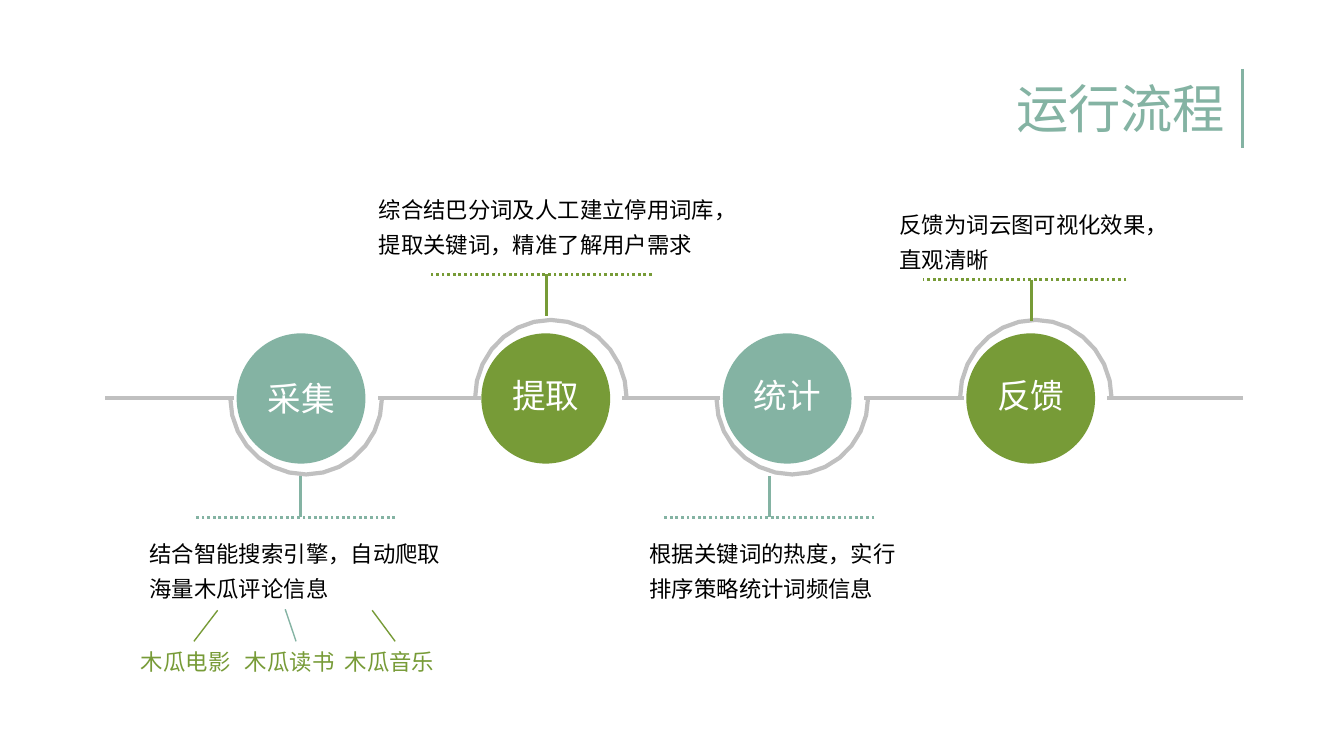
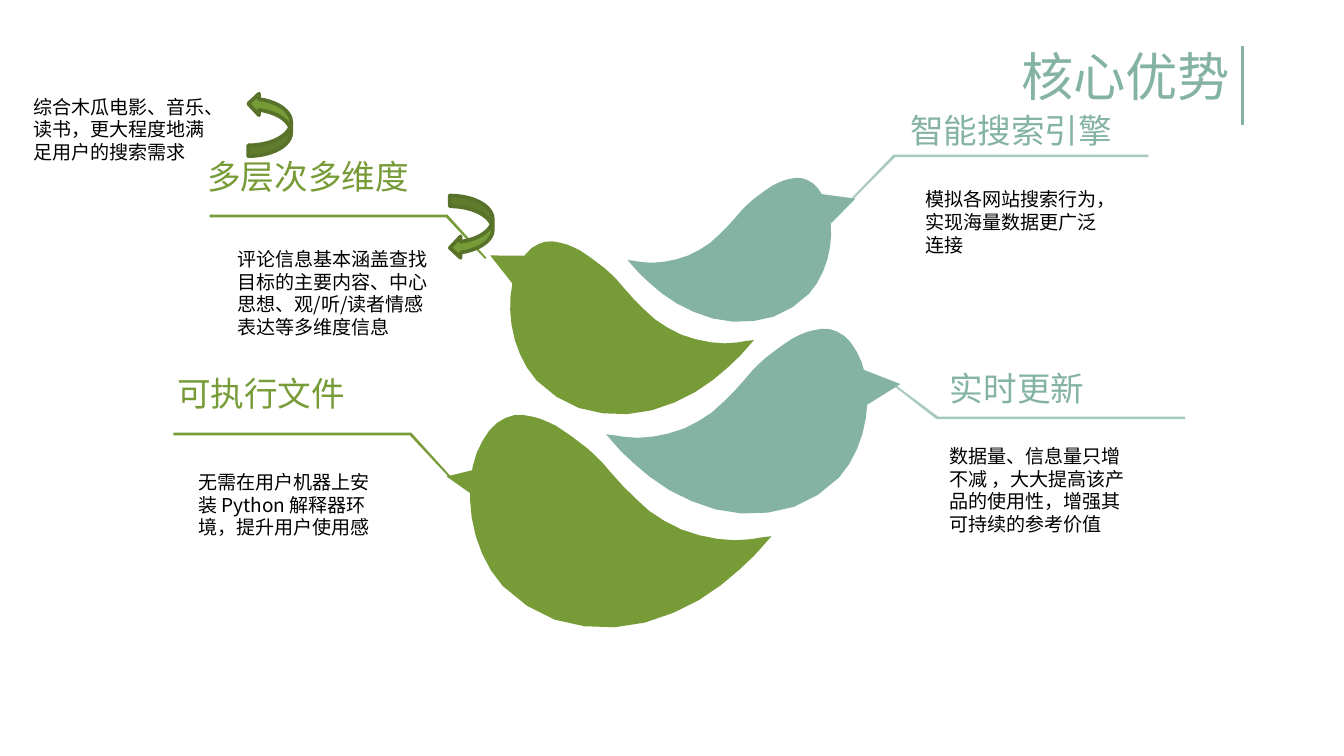
"""Build two slides: a four-step process and the core advantages around four birds."""
import math

from lxml import etree
from pptx import Presentation
from pptx.dml.color import RGBColor
from pptx.enum.dml import MSO_LINE
from pptx.enum.shapes import MSO_CONNECTOR, MSO_SHAPE
from pptx.enum.text import MSO_ANCHOR, PP_ALIGN
from pptx.oxml.ns import qn
from pptx.util import Pt

STRAIGHT = MSO_CONNECTOR.STRAIGHT
OVAL, TRIANGLE = MSO_SHAPE.OVAL, MSO_SHAPE.ISOSCELES_TRIANGLE
CURVED_UP, CURVED_DOWN = MSO_SHAPE.CURVED_UP_ARROW, MSO_SHAPE.CURVED_DOWN_ARROW
DOTTED = MSO_LINE.ROUND_DOT
MIDDLE = MSO_ANCHOR.MIDDLE
LEFT, CENTER, RIGHT = PP_ALIGN.LEFT, PP_ALIGN.CENTER, PP_ALIGN.RIGHT

TEAL, GREEN, DARK_GREEN = "84B3A3", "779B37", "587329"
GREY, BLACK, WHITE = "C0C0C0", "000000", "FFFFFF"
BODY_FONT, HEADING_FONT = "Noto Sans CJK SC", "Quicksand"
TITLE_RULE_X, TITLE_RULE_LENGTH = 665.8, 42.4

PROCESS_TITLE = ("运行流程", (388.4, 40.6, 275, 38.2), 36.9)
ADVANTAGE_TITLE = ("核心优势", (391, 24.5, 275, 36), 24.5)

# label, colour, circle centre, label top, stem x, dotted start, end and y, note, note box
STEPS = [
    ("采集", TEAL, 161.3, 198.9, 161.1, 103.7, 211.7, 277.2,
     "结合智能搜索引擎，自动爬取海量木瓜评论信息", (73, 281.5, 181.4, 45)),
    ("提取", GREEN, 292.4, 197.5, 292.8, 231.1, 349.2, 146.9,
     "综合结巴分词及人工建立停用词库，提取关键词，精准了解用户需求", (195.8, 97.2, 203, 45)),
    ("统计", TEAL, 421.7, 197.5, 412.4, 355.4, 468.5, 277.2,
     "根据关键词的热度，实行排序策略统计词频信息", (340.9, 281.5, 157.5, 45)),
    ("反馈", GREEN, 552.2, 197.5, 552.4, 494.6, 603.4, 149.8,
     "反馈为词云图可视化效果，直观清晰", (474.8, 105, 159.8, 45)),
]
RAIL = [(56.2, 125.3), (202.3, 257.8), (333.4, 385.9), (463, 516.2), (593.3, 666)]
RAIL_Y, ARC_WIDTH, ARC_SHIFT, STEM = 213.4, 40.6, 2.7, 22.3
ARC_HEIGHTS = {-1: 42, 1: 40.8}
SOURCES = ["木瓜电影", "木瓜读书", "木瓜音乐"]
SOURCE_TABS = [55.7, 109.2]
BRANCHES = [
    (GREEN, 103.9, 343.6, 116.6, 327),
    (TEAL, 158.6, 343.6, 152.8, 326.4),
    (GREEN, 211.7, 343.6, 199.4, 327),
]

BIRD_SIZE = (225, 161)
BIRD_START = (225, 91)
BIRD_CURVES = [
    ((221, 95), (214, 105), (201, 116)), ((189, 127), (172, 140), (152, 148)),
    ((132, 157), (108, 161), (86, 158)), ((63, 156), (42, 145), (25, 128)),
    ((15, 117), (9, 104), (5, 91)), ((1, 77), (0, 63), (1, 51)),
    ((2, 39), (5, 28), (10, 20)), ((15, 11), (20, 6), (27, 3)),
    ((33, 0), (40, 0), (47, 2)), ((53, 3), (59, 6), (65, 9)),
    ((71, 13), (77, 17), (82, 21)), ((88, 25), (93, 30), (99, 36)),
    ((106, 44), (114, 54), (124, 63)), ((133, 73), (145, 80), (158, 86)),
    ((171, 91), (186, 94), (198, 94)), ((210, 94), (220, 91), (225, 91)),
]
# colour, body box, beak box, beak rotation, faces right
BIRDS = [
    (GREEN, (272.9, 128.9, 131, 94.3), (262.1, 131.8, 17.3, 18), 296, False),
    (GREEN, (251.3, 221.8, 162, 115.9), (239.8, 249.1, 13.7, 15.1), 280.8, False),
    (TEAL, (324.7, 175.7, 140.4, 100.8), (463.7, 197.3, 18.7, 18.7), 84.7, True),
    (TEAL, (336.2, 95, 109.4, 78.5), (442.1, 100.8, 16.6, 16.6), 71, True),
]
EYES = [(308.9, 149, 5.8, 6.5), (284.4, 241.2, 7.2, 7.9)]
# colour, opacity, box, sloped run, flipped across, flipped down
LEADERS = [
    (GREEN, 100, (112.3, 115, 148.3, 23.8), 20.9, False, False),
    (GREEN, 100, (92.9, 231.8, 148.3, 23.8), 20.9, False, False),
    (TEAL, 70, (479.5, 206.6, 155.5, 18), 22.3, True, True),
    (TEAL, 70, (456.5, 82.8, 158.8, 23.8), 22.3, True, False),
]
HEADINGS = [
    ("多层次多维度", GREEN, (104, 79.9, 180.7, 28.8)),
    ("可执行文件", GREEN, (87.8, 196.2, 157.7, 28.8)),
    ("实时更新", TEAL, (501.8, 193.7, 100, 28.8)),
    ("智能搜索引擎", TEAL, (480.6, 55.4, 130, 28.8)),
]
DETAILS = [
    ("综合木瓜电影、音乐、读书，更大程度地满足用户的搜索需求", (10.8, 47.3, 111.6, 44)),
    ("评论信息基本涵盖查找目标的主要内容、中心思想、观/听/读者情感表达等多维度信息",
     (120.2, 128.8, 118.1, 56.2)),
    ("模拟各网站搜索行为，实现海量数据更广泛连接", (488.7, 96.8, 111.6, 44)),
    ("数据量、信息量只增不减 ，大大提高该产品的使用性，增强其可持续的参考价值",
     (501.4, 234.4, 111.6, 56.2)),
    ("无需在用户机器上安装 Python 解释器环境，提升用户使用感", (99.2, 248.3, 111.6, 44)),
]
CURVED_ARROWS = [
    (CURVED_UP, (127.6, 55.2, 33.8, 23), 270),
    (CURVED_DOWN, (235.6, 110.2, 33.8, 23), 90),
]


def rgb(value):
    """Turn a hex string into a colour."""
    return RGBColor.from_string(value)


def add_text(slide, text, box, size=12, color=BLACK, font=BODY_FONT, align=LEFT,
             spacing=None, tabs=()):
    """Add a vertically centred text box with one paragraph."""
    frame = slide.shapes.add_textbox(*map(Pt, box)).text_frame
    frame.word_wrap = True
    frame.vertical_anchor = MIDDLE
    paragraph = frame.paragraphs[0]
    paragraph.alignment = align
    if spacing:
        paragraph.line_spacing = spacing
    if tabs:
        stops = etree.SubElement(paragraph._p.get_or_add_pPr(), qn("a:tabLst"))
        for position in tabs:
            etree.SubElement(stops, qn("a:tab"), pos=str(Pt(position)), algn="l")
    run = paragraph.add_run()
    run.text = text
    run.font.size = Pt(size)
    run.font.color.rgb = rgb(color)
    run.font.name = font
    etree.SubElement(run._r.get_or_add_rPr(), qn("a:ea"), typeface=font)


def add_line(slide, x1, y1, x2, y2, color, width=1.5, dash=None):
    """Add a straight line without a shadow."""
    line = slide.shapes.add_connector(STRAIGHT, Pt(x1), Pt(y1), Pt(x2), Pt(y2))
    line.line.color.rgb = rgb(color)
    line.line.width = Pt(width)
    if dash:
        line.line.dash_style = dash
    etree.SubElement(line._element.spPr, qn("a:effectLst"))


def paint(shape, fill=None, line=None, width=1, opacity=100):
    """Set the fill and outline of a shape."""
    shape.shadow.inherit = False
    if fill:
        shape.fill.solid()
        shape.fill.fore_color.rgb = rgb(fill)
        if opacity < 100:
            solid = shape._element.spPr.find(qn("a:solidFill"))
            etree.SubElement(solid[0], qn("a:alpha"), val=str(opacity * 1000))
    else:
        shape.fill.background()
    if line:
        shape.line.color.rgb = rgb(line)
        shape.line.width = Pt(width)
    else:
        shape.line.fill.background()


def add_preset(slide, kind, box, rotation=0, **style):
    """Add a painted preset shape."""
    shape = slide.shapes.add_shape(kind, *map(Pt, box))
    shape.rotation = rotation
    paint(shape, **style)


def add_outline(slide, points, close=True, **style):
    """Add a painted freeform through the points."""
    corners = [(Pt(x), Pt(y)) for x, y in points]
    builder = slide.shapes.build_freeform(*corners[0], scale=1.0)
    builder.add_line_segments(corners[1:], close=close)
    paint(builder.convert_to_shape(), **style)


def add_title(slide, text, box, rule_top):
    """Add the right-aligned title and the rule beside it."""
    add_text(slide, text, box, size=28, color=TEAL, align=RIGHT, spacing=0.9)
    add_line(slide, TITLE_RULE_X, rule_top, TITLE_RULE_X, rule_top + TITLE_RULE_LENGTH, TEAL)


def arc_points(center, side, steps=14):
    """Return a half circle above (side -1) or below (side 1) the rail."""
    angles = [math.pi * i / steps for i in range(steps + 1)]
    return [(center + ARC_WIDTH * math.cos(a), RAIL_Y + side * ARC_HEIGHTS[side] * math.sin(a))
            for a in angles]


def bird_points(box, mirrored, steps=3):
    """Return the bird outline fitted to a box."""
    left, top, width, height = box
    start, outline = BIRD_START, []
    for curve in BIRD_CURVES:
        for i in range(steps):
            t = i / steps
            weights = ((1 - t) ** 3, 3 * t * (1 - t) ** 2, 3 * t * t * (1 - t), t ** 3)
            outline.append([sum(w * p[axis] for w, p in zip(weights, (start, *curve)))
                            / BIRD_SIZE[axis] for axis in (0, 1)])
        start = curve[-1]
    return [(left + width * (1 - x if mirrored else x), top + height * y) for x, y in outline]


def leader_points(box, run, across, down):
    """Return the thin bent strip that leads from a heading to a beak."""
    left, top, width, height = box
    knee = width - run
    strip = [(width - 0.7, height), (width, height - 0.7), (knee, 0), (0, 0),
             (0, 1.44), (knee - 0.7, 1.44)]
    return [(left + (width - x if across else x), top + (height - y if down else y))
            for x, y in strip]


def build_process(slide):
    """Draw the four steps on their rail."""
    add_title(slide, *PROCESS_TITLE)
    for start, end in RAIL:
        add_line(slide, end, RAIL_Y, start, RAIL_Y, GREY, 2.25)
    for label, color, center, label_top, stem_x, start, end, dotted_y, note, note_box in STEPS:
        side = 1 if dotted_y > RAIL_Y else -1
        add_outline(slide, arc_points(center + ARC_SHIFT, side), close=False,
                    line=GREY, width=2.25)
        add_preset(slide, OVAL, (center - 34.5, 178.6, 69, 69.8), fill=color)
        add_text(slide, label, (center - 35, label_top, 70, 28.8), size=18, color=WHITE,
                 align=CENTER)
        stem_top = min(dotted_y, dotted_y - side * STEM)
        add_line(slide, stem_x, stem_top, stem_x, stem_top + STEM, color)
        add_line(slide, end, dotted_y, start, dotted_y, color, dash=DOTTED)
        add_text(slide, note, note_box, spacing=Pt(18.7))
    for color, *ends in BRANCHES:
        add_line(slide, *ends, color, 0.75)
    add_text(slide, "\t".join(SOURCES), (68.4, 342.3, 259, 24), color=GREEN, tabs=SOURCE_TABS)


def build_advantages(slide):
    """Draw the birds with their headings and details."""
    add_title(slide, *ADVANTAGE_TITLE)
    for color, opacity, *strip in LEADERS:
        add_outline(slide, leader_points(*strip), fill=color, opacity=opacity)
    for color, body, beak, rotation, mirrored in BIRDS:
        add_outline(slide, bird_points(body, mirrored), fill=color)
        add_preset(slide, TRIANGLE, beak, rotation, fill=color)
    for eye in EYES:
        add_preset(slide, OVAL, eye, fill=GREEN)
    for heading, color, box in HEADINGS:
        add_text(slide, heading, box, size=18, color=color, font=HEADING_FONT)
    for detail, box in DETAILS:
        add_text(slide, detail, box, size=10.2, spacing=Pt(12.2))
    for kind, box, rotation in CURVED_ARROWS:
        add_preset(slide, kind, box, rotation, fill=GREEN, line=DARK_GREEN, width=2)


def main():
    """Build and save the presentation."""
    deck = Presentation()
    deck.slide_width, deck.slide_height = Pt(720), Pt(405)
    for build in (build_process, build_advantages):
        build(deck.slides.add_slide(deck.slide_layouts[6]))
    deck.save("out.pptx")


if __name__ == "__main__":
    main()
